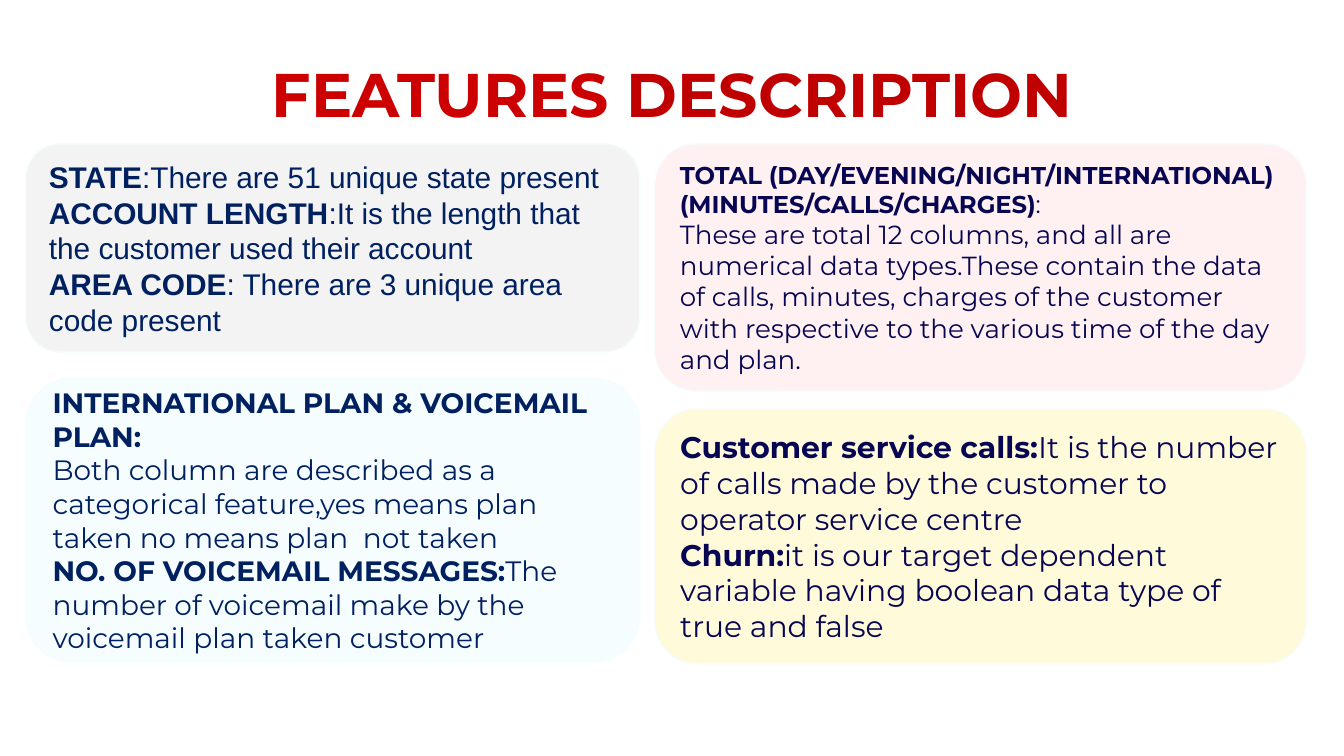
import pptx
import pptx.util
import pptx.dml.color
import pptx.enum.shapes
import pptx.enum.text

Inches, Pt = pptx.util.Inches, pptx.util.Pt
RGBColor = pptx.dml.color.RGBColor
PP_ALIGN, MSO_ANCHOR = pptx.enum.text.PP_ALIGN, pptx.enum.text.MSO_ANCHOR

COLORS = {
    "red": "CC0000", "dark red": "C00000", "navy": "002060", "indigo": "070652",
    "grey": "F3F3F3", "ice": "F5FDFF", "pink": "FFF1F1", "cream": "FFFADA",
}

# Content: each paragraph is (size, bold lead, plain rest)
TITLE = [("FEATURES ", "red"), ("DESCRIPTION", "dark red")]
CARDS = [
    # column, top, height, fill, font, text colour, paragraphs
    (0, 1.07, 1.55, "grey", "Arial", "navy", [
        (16, "STATE", ":There are 51 unique state present"),
        (16, "ACCOUNT LENGTH", ":It is the length that the customer used their account"),
        (16, "AREA CODE", ": There are 3 unique area code present"),
    ]),
    (0, 2.81, 2.12, "ice", "Montserrat", "navy", [
        (15, "INTERNATIONAL PLAN & VOICEMAIL PLAN:", ""),
        (15, "", "Both column are described as a categorical feature,yes means "
                 "plan taken no means plan  not taken"),
        (15, "NO. OF VOICEMAIL MESSAGES:",
         "The number of voicemail make by the voicemail plan taken customer"),
    ]),
    (1, 1.07, 1.84, "pink", "Montserrat", "indigo", [
        (13, "TOTAL (DAY/EVENING/NIGHT/INTERNATIONAL) (MINUTES/CALLS/CHARGES)", ":"),
        (14, "", "These are total 12 columns, and all are numerical data types."
                 "These contain the data of calls, minutes, charges of the customer "
                 "with respective to the various time of the day and plan."),
    ]),
    (1, 3.04, 1.9, "cream", "Montserrat", "indigo", [
        (16, "Customer service calls:",
         "It is the number of calls made by the customer to operator service centre"),
        (16, "Churn:",
         "it is our target dependent variable having boolean data type of true and false"),
    ]),
]
COLUMNS = [(0.19, 4.57), (4.87, 4.85)]  # left, width


def rgb(name):
    return RGBColor.from_string(COLORS[name])


def set_frame(tf, anchor):
    tf.word_wrap = True
    tf.auto_size = pptx.enum.text.MSO_AUTO_SIZE.NONE
    tf.vertical_anchor = anchor
    tf.margin_left = tf.margin_right = tf.margin_top = tf.margin_bottom = Inches(0.1)


def add_card(slide, column, top, height, fill, font, color, paragraphs):
    left, width = COLUMNS[column]
    sp = slide.shapes.add_shape(
        pptx.enum.shapes.MSO_SHAPE.ROUNDED_RECTANGLE,
        Inches(left), Inches(top), Inches(width), Inches(height))
    sp.shadow.inherit = False
    sp.fill.solid()
    sp.fill.fore_color.rgb = rgb(fill)
    sp.line.color.rgb = rgb("ice")
    sp.line.width = Pt(0.75)
    tf = sp.text_frame
    set_frame(tf, MSO_ANCHOR.MIDDLE)
    for i, (size, lead, rest) in enumerate(paragraphs):
        p = tf.add_paragraph() if i else tf.paragraphs[0]
        p.alignment = PP_ALIGN.LEFT
        p.font.name, p.font.size = font, Pt(size)
        p.font.color.rgb = rgb(color)
        for text, bold in ((lead, True), (rest, False)):
            if text:
                r = p.add_run()
                r.text, r.font.bold = text, bold


# Slide in 16:9
prs = pptx.Presentation()
prs.slide_width = Inches(10)
prs.slide_height = prs.slide_width * 9 // 16
slide = prs.slides.add_slide(prs.slide_layouts[5])

# Title
title = slide.shapes.title
title.left, title.top = Inches(0.34), Inches(0)
title.width, title.height = Inches(9.32), Inches(1.07)
set_frame(title.text_frame, MSO_ANCHOR.BOTTOM)
p = title.text_frame.paragraphs[0]
p.alignment = PP_ALIGN.CENTER
p.font.name, p.font.size, p.font.bold = "Montserrat", Pt(33), True
for text, color in TITLE:
    r = p.add_run()
    r.text, r.font.color.rgb = text, rgb(color)

# Feature cards
for card in CARDS:
    add_card(slide, *card)

prs.save("out.pptx")
